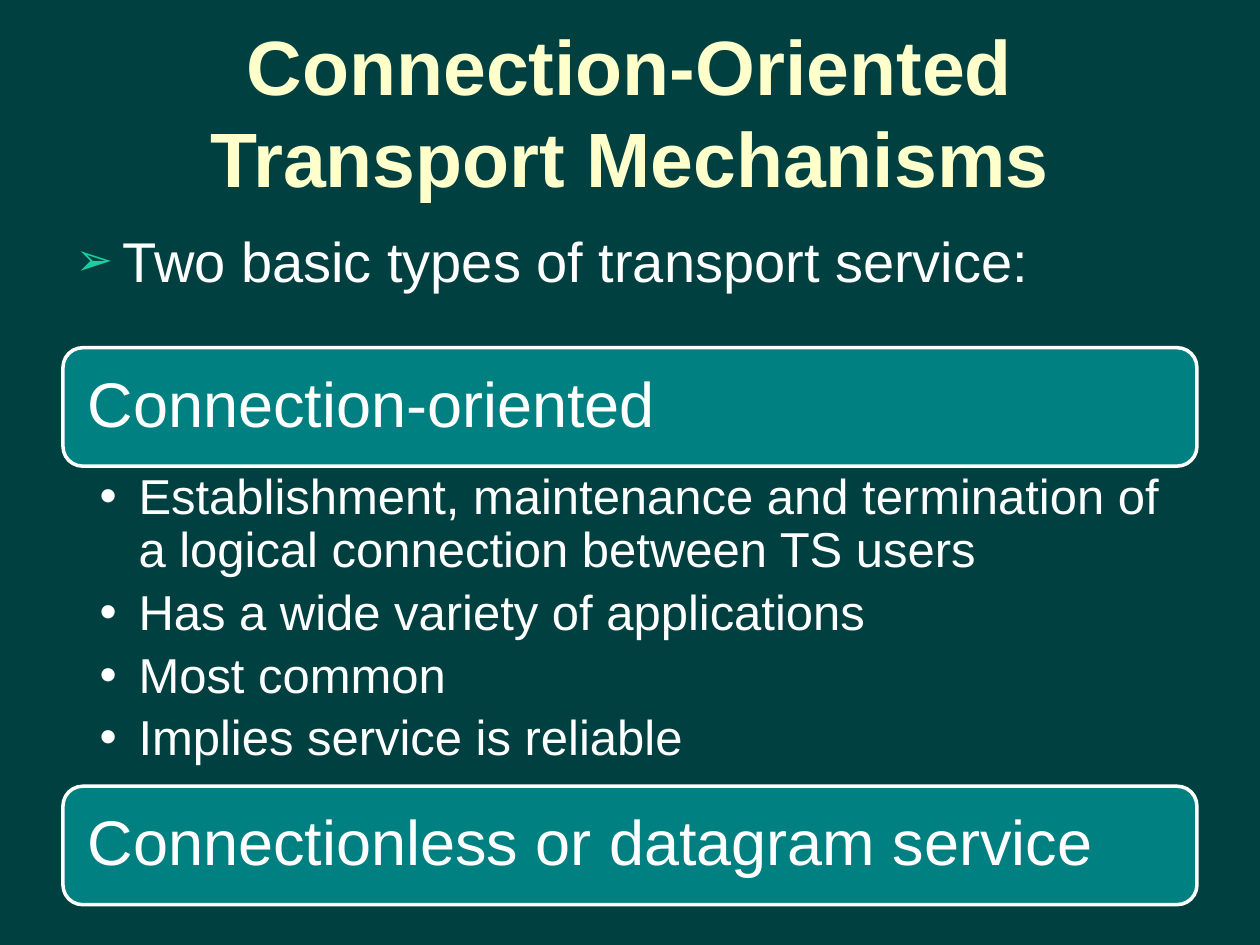
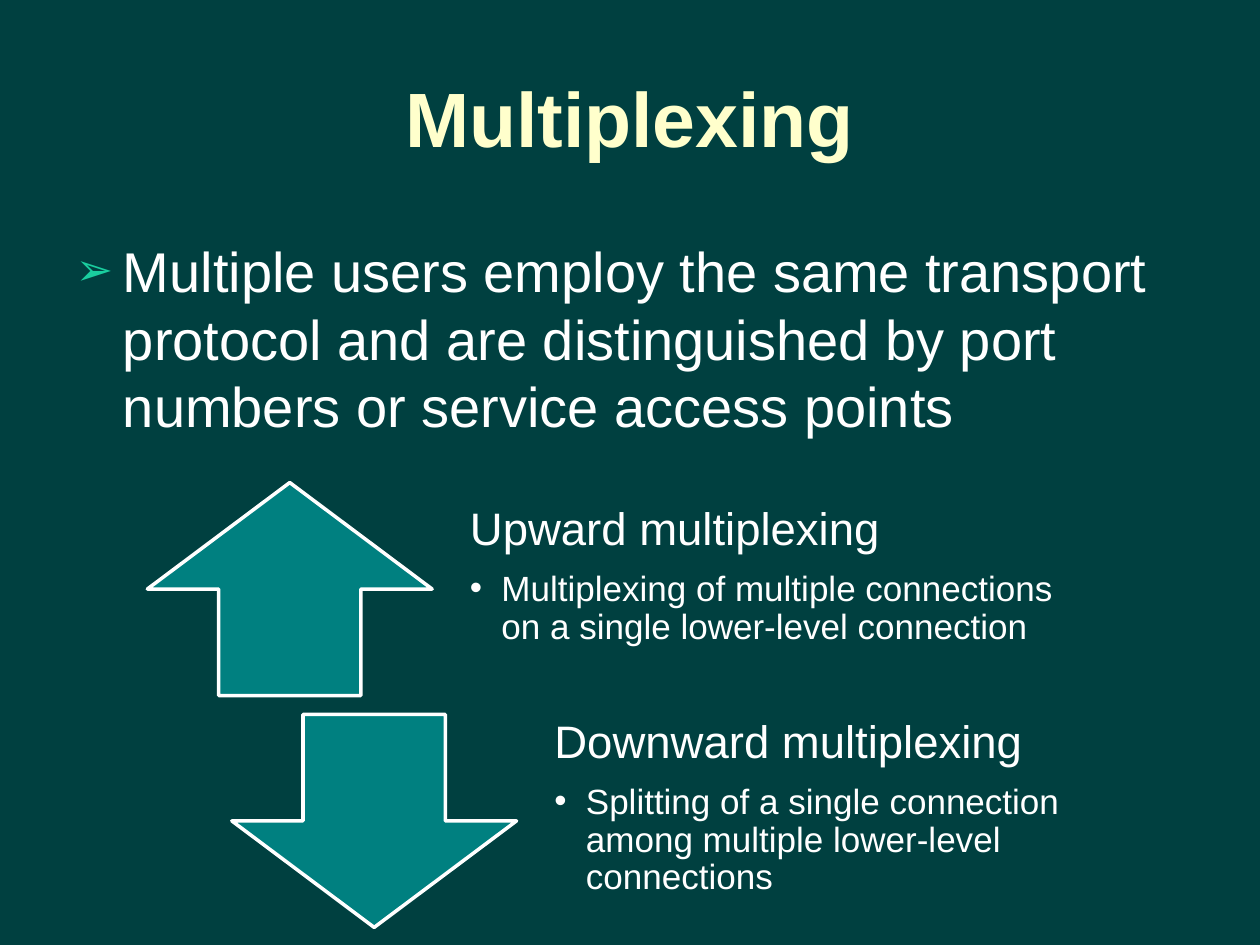
from lxml.etree import SubElement
from pptx import Presentation
from pptx.dml.color import RGBColor
from pptx.enum.shapes import MSO_SHAPE
from pptx.enum.text import MSO_ANCHOR, MSO_AUTO_SIZE, PP_ALIGN
from pptx.oxml.ns import qn
from pptx.util import Inches, Pt

COLOURS = {
    "background": "004040",
    "title": "FFFFCC",
    "text": "FFFFFF",
    "fill": "008080",
    "bullet": "1ACE9F",
}
FONT = "Arial"
MARGIN = 0.5
CONTENT_WIDTH = 9


def colour(name):
    return RGBColor.from_string(COLOURS[name])


def place(shape, left, top, width, height):
    shape.left, shape.top = Inches(left), Inches(top)
    shape.width, shape.height = Inches(width), Inches(height)


def add_span(para, text, size, colour_name="text", bold=False):
    span = para.add_run()
    span.text = text
    span.font.name = FONT
    span.font.size = Pt(size)
    span.font.bold = bold
    span.font.color.rgb = colour(colour_name)


def set_bullet(para, character, colour_name="text", percent=100):
    properties = para._p.get_or_add_pPr()
    bullet_colour = SubElement(properties, qn("a:buClr"))
    SubElement(bullet_colour, qn("a:srgbClr"), val=COLOURS[colour_name])
    SubElement(properties, qn("a:buSzPct"), val=str(percent * 1000))
    SubElement(properties, qn("a:buFont"), typeface=FONT)
    SubElement(properties, qn("a:buChar"), char=character)


def set_spacing(para, percent_after):
    """Tight lines, with a gap after the paragraph relative to its text size."""
    para.line_spacing = 0.9
    after = SubElement(para._p.get_or_add_pPr(), qn("a:spcAft"))
    SubElement(after, qn("a:spcPct"), val=str(percent_after * 1000))


def indent(para, amount):
    properties = para._p.get_or_add_pPr()
    properties.set("marL", str(Inches(amount)))
    properties.set("indent", str(-Inches(amount)))


def add_page(deck, title, title_band, statement, body_band):
    """Add a slide with a title and one bulleted statement; bands are (top, height)."""
    page = deck.slides.add_slide(deck.slide_layouts[1])
    heading, body = page.placeholders
    for box, (top, height), anchor in (
        (heading, title_band, MSO_ANCHOR.MIDDLE),
        (body, body_band, MSO_ANCHOR.TOP),
    ):
        place(box, MARGIN, top, CONTENT_WIDTH, height)
        box.text_frame.auto_size = MSO_AUTO_SIZE.NONE
        box.text_frame.vertical_anchor = anchor
    para = heading.text_frame.paragraphs[0]
    para.alignment = PP_ALIGN.CENTER
    add_span(para, title, 44, "title", bold=True)
    para = body.text_frame.paragraphs[0]
    set_bullet(para, "➢", "bullet", 80)
    add_span(para, statement, 32)
    return page


def add_teal_shape(page, kind, left, top, width, height):
    shape = page.shapes.add_shape(
        kind, Inches(left), Inches(top), Inches(width), Inches(height))
    shape.shadow.inherit = False
    shape.fill.solid()
    shape.fill.fore_color.rgb = colour("fill")
    shape.line.color.rgb = colour("text")
    shape.line.width = Pt(2)
    return shape


def format_frame(frame, insets, anchor):
    frame.word_wrap = True
    frame.auto_size = MSO_AUTO_SIZE.NONE
    frame.vertical_anchor = anchor
    (frame.margin_left, frame.margin_top,
     frame.margin_right, frame.margin_bottom) = map(Inches, insets)


def add_text_box(page, area, insets, anchor):
    box = page.shapes.add_textbox(*map(Inches, area))
    format_frame(box.text_frame, insets, anchor)
    return box.text_frame


def write_heading(para, text, size):
    para.alignment = PP_ALIGN.LEFT
    set_spacing(para, 35)
    add_span(para, text, size)


def write_point(para, text, size, hang, percent_after):
    indent(para, hang)
    set_spacing(para, percent_after)
    set_bullet(para, "•")
    add_span(para, text, size)


def add_service_bar(page, top, height, name):
    bar = add_teal_shape(page, MSO_SHAPE.ROUNDED_RECTANGLE,
                         MARGIN, top, CONTENT_WIDTH, height)
    format_frame(bar.text_frame, (0.15,) * 4, MSO_ANCHOR.MIDDLE)
    write_heading(bar.text_frame.paragraphs[0], name, 36)


def add_service_points(page, top, height, points):
    frame = add_text_box(page, (MARGIN, top, CONTENT_WIDTH, height),
                         (0.29, 0.05, 0.28, 0.05), MSO_ANCHOR.TOP)
    for number, point in enumerate(points):
        para = frame.add_paragraph() if number else frame.paragraphs[0]
        write_point(para, point, 28, 0.31, 20)


def add_arrow_row(page, row, kind, name, meaning):
    """Add an arrow with its explanation; each row steps down and to the right."""
    left, top = 1.17 + 0.67 * row, 3.83 + 1.84 * row
    arrow_width, height, gap = 2.26, 1.69, 0.1
    add_teal_shape(page, kind, left, top, arrow_width, height)
    frame = add_text_box(page, (left + arrow_width + gap, top, 5.15, height),
                         (0.2, 0, 0.2, 0.2), MSO_ANCHOR.MIDDLE)
    write_heading(frame.paragraphs[0], name, 26)
    write_point(frame.add_paragraph(), meaning, 20, 0.25, 15)


def build_transport_page(deck):
    page = add_page(deck, "Connection-Oriented Transport Mechanisms", (0.17, 1.42),
                    "Two basic types of transport service:", (1.75, 5.75))
    bar_top, bar_height, points_height = 2.76, 0.94, 2.54
    points_top = bar_top + bar_height
    add_service_bar(page, bar_top, bar_height, "Connection-oriented")
    add_service_points(page, points_top, points_height, [
        "Establishment, maintenance and termination of a logical connection between TS users",
        "Has a wide variety of applications",
        "Most common",
        "Implies service is reliable",
    ])
    add_service_bar(page, points_top + points_height, bar_height,
                    "Connectionless or datagram service")


def build_multiplexing_page(deck):
    page = add_page(deck, "Multiplexing", (0.3, 1.25),
                    "Multiple users employ the same transport protocol and are "
                    "distinguished by port numbers or service access points",
                    (1.83, 5.04))
    directions = [
        (MSO_SHAPE.UP_ARROW, "Upward multiplexing",
         "Multiplexing of multiple connections on a single lower-level connection"),
        (MSO_SHAPE.DOWN_ARROW, "Downward multiplexing",
         "Splitting of a single connection among multiple lower-level connections"),
    ]
    for row, direction in enumerate(directions):
        add_arrow_row(page, row, *direction)


def main():
    deck = Presentation()
    deck.slide_width, deck.slide_height = Inches(10), Inches(7.5)
    background = deck.slide_master.background.fill
    background.solid()
    background.fore_color.rgb = colour("background")
    build_transport_page(deck)
    build_multiplexing_page(deck)
    deck.save("out.pptx")


if __name__ == "__main__":
    main()
